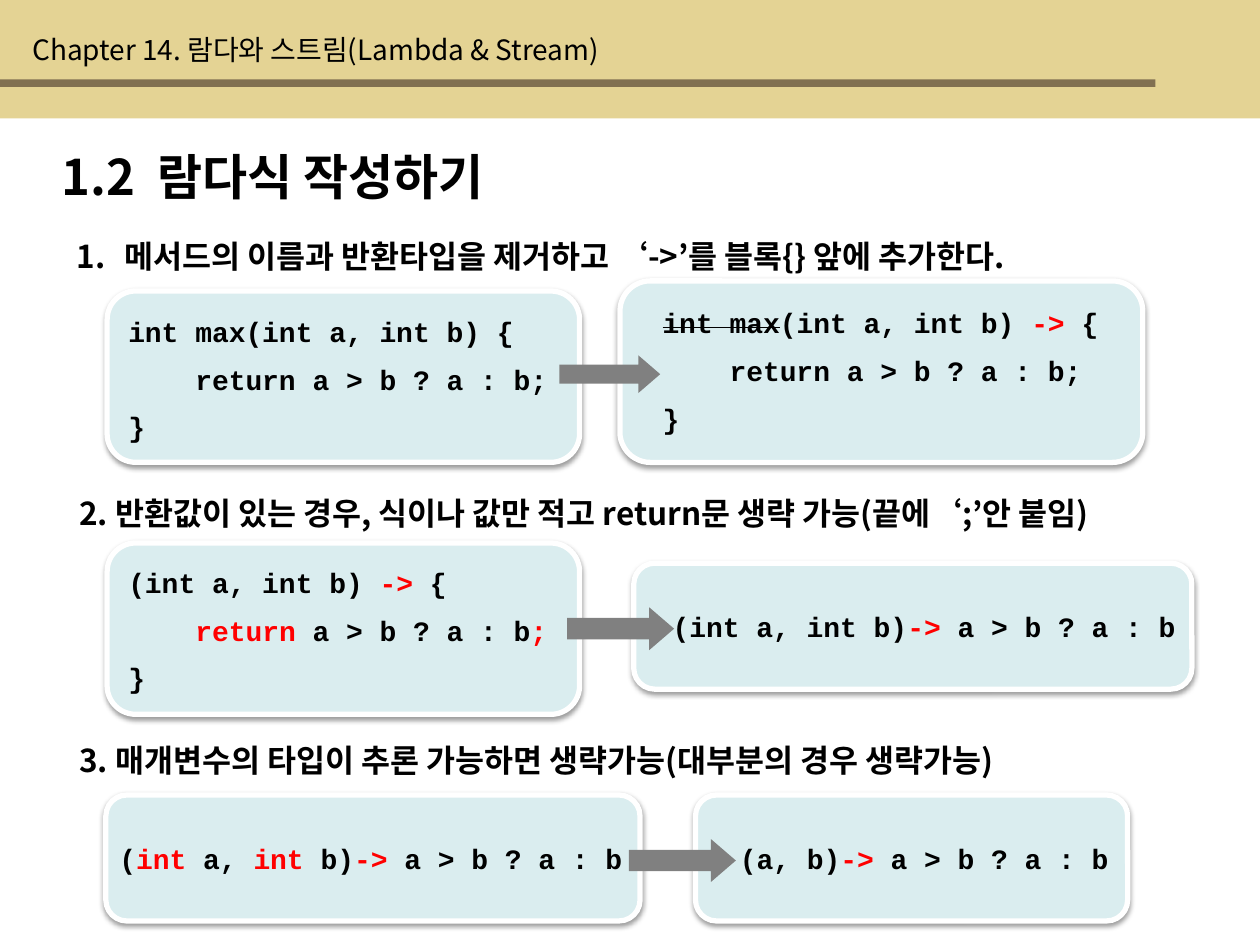
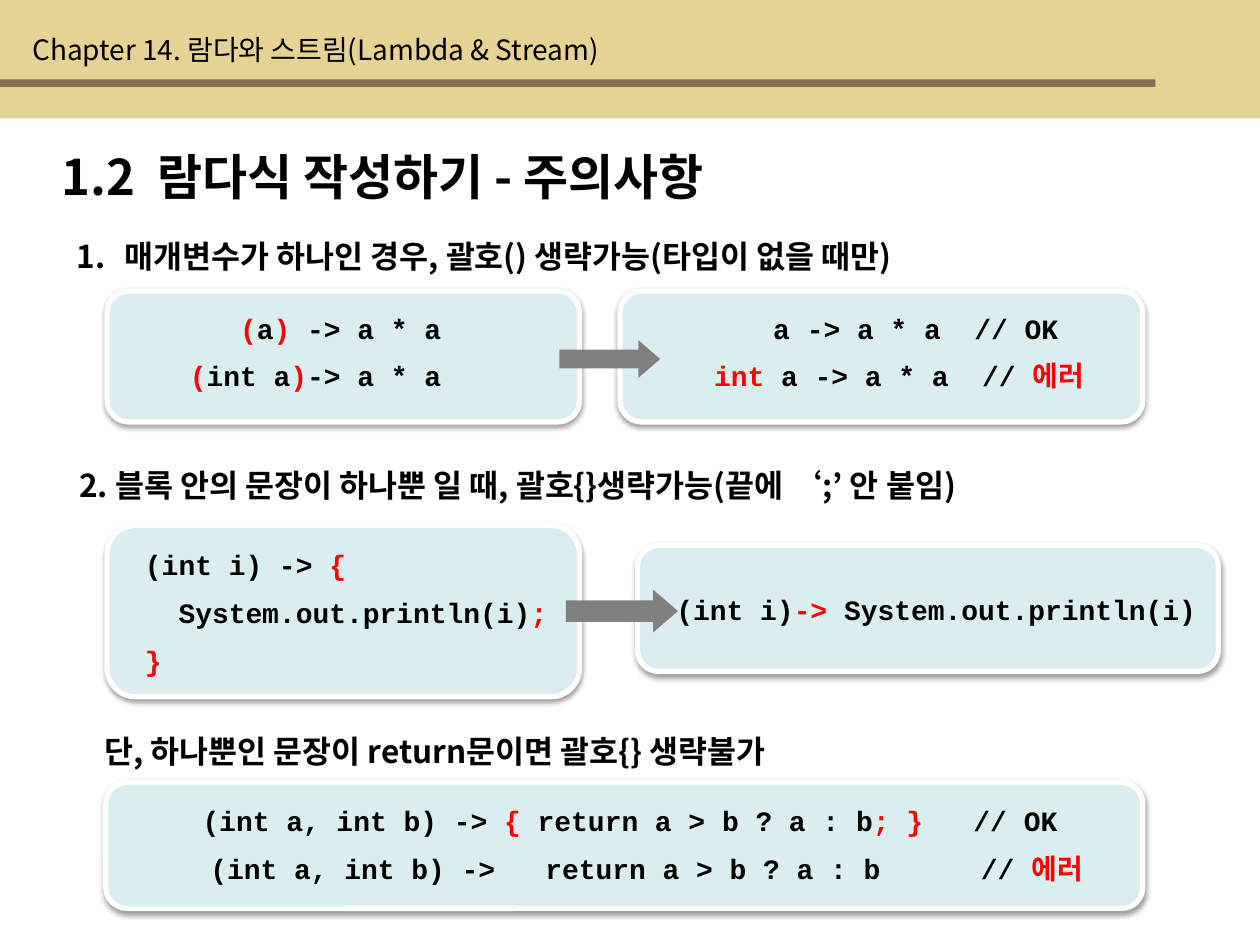
from pptx import Presentation
from pptx.dml.color import RGBColor
from pptx.enum.shapes import MSO_SHAPE
from pptx.enum.text import MSO_AUTO_SIZE, PP_ALIGN
from pptx.oxml.ns import qn
from pptx.util import Inches, Pt
from lxml import etree

RECT = MSO_SHAPE.RECTANGLE
ROUND = MSO_SHAPE.ROUNDED_RECTANGLE
ARROW = MSO_SHAPE.RIGHT_ARROW
GROW = MSO_AUTO_SIZE.SHAPE_TO_FIT_TEXT
LEFT, CENTER = PP_ALIGN.LEFT, PP_ALIGN.CENTER

SAND = RGBColor(0xE4, 0xD3, 0x94)
BROWN = RGBColor(0x81, 0x70, 0x51)
MINT = RGBColor(0xDA, 0xED, 0xEF)
GRAY = RGBColor(0x80, 0x80, 0x80)
WHITE = RGBColor(0xFF, 0xFF, 0xFF)
BLACK = RGBColor(0, 0, 0)
RED = RGBColor(0xFF, 0, 0)
SANS = "Noto Sans CJK KR"
MONO = "Courier New"


def sub(node, tag, **attrs):
    return etree.SubElement(node, qn(tag), attrs)


def draw(shapes, kind, box, fill):
    shape = shapes.add_shape(kind, *map(Inches, box))
    shape.fill.solid()
    shape.fill.fore_color.rgb = fill
    shape.line.fill.background()
    shape.shadow.inherit = False
    return shape


def write(shapes, box, lines, size, bold=True, face=SANS, align=LEFT):
    frame = shapes.add_textbox(*map(Inches, box)).text_frame
    frame.word_wrap = True
    frame.auto_size = GROW
    for i, line in enumerate(lines):
        para = frame.add_paragraph() if i else frame.paragraphs[0]
        para.alignment = align
        props = para._p.get_or_add_pPr()
        space = sub(props, "a:spcBef")
        sub(space, "a:spcPct", val="50000")
        font = para.font
        font.name, font.size, font.bold = face, Pt(size), bold
        font.color.rgb = BLACK
        for k, part in enumerate(line.split("|")):
            if not part:
                continue
            run = para.add_run()
            run.text = part.lstrip("~")
            mark = run._r.get_or_add_rPr()
            if part.startswith("~"):
                mark.set("strike", "sngStrike")
            elif k % 2:
                run.font.color.rgb = RED
            sub(mark, "a:ea", typeface=SANS)
    return frame


def header(slide, title):
    draw(slide.shapes, RECT, (0, 0, 10, 0.94), SAND)
    draw(slide.shapes, RECT, (0, 0.63, 9.17, 0.06), BROWN)
    write(slide.shapes, (0.39, 1.11, 9.37, 0.57), [title], 28)
    write(slide.shapes, (0.16, 0.21, 6.22, 0.37),
          ["Chapter 14. 람다와 스트림(Lambda & Stream)"], 16, False)


def heading(slide, left, top, text, width=9.41, number=False):
    frame = write(slide.shapes, (left, top, width, 0.4), [text], 18)
    props = frame.paragraphs[0]._p.pPr
    hang = Inches(0.38 if number else 0.29)
    props.set("marL", str(hang))
    props.set("indent", str(-hang))
    if number:
        bullet = etree.Element(qn("a:buAutoNum"), type="arabicPeriod")
        props.find(qn("a:spcBef")).addnext(bullet)


def panel(slide, box, inset, lines, align=LEFT, arrow=None):
    left, top, width, height = box
    dx, dy, wide = inset
    shapes = slide.shapes.add_group_shape().shapes
    card = draw(shapes, ROUND, box, MINT)
    card.line.color.rgb = WHITE
    card.line.width = Pt(3)
    effects = card._element.spPr.find(qn("a:effectLst"))
    shade = sub(effects, "a:outerShdw", blurRad=str(Pt(3.1)),
                dist=str(Pt(1.6)), dir="5400000", rotWithShape="0")
    color = sub(shade, "a:srgbClr", val=str(BLACK))
    sub(color, "a:alpha", val="38000")
    write(shapes, (left + dx, top + dy, wide, 0.38 * len(lines)),
          lines, 16, face=MONO, align=align)
    if arrow:
        long, high = arrow
        tip = left + 0.32
        mid = top + height / 2 + 0.02
        point = draw(shapes, ARROW, (tip - long, mid - high / 2, long, high),
                     GRAY)
        point.adjustments[0] = 0.5
        point.adjustments[1] = 0.58


def rules(slide):
    header(slide, "1.2  람다식 작성하기")
    heading(slide, 0.51, 1.83,
            "메서드의 이름과 반환타입을 제거하고 ‘->’를 블록{} 앞에 추가한다.",
            number=True)
    panel(slide, (0.85, 2.31, 3.75, 1.36), (0.07, 0.14, 3.57),
          ["int max(int a, int b) {", "    return a > b ? a : b;", "}"])
    panel(slide, (4.92, 2.23, 4.15, 1.44), (0.24, 0.15, 3.95),
          ["|~int max|(int a, int b) |-> |{", "    return a > b ? a : b;",
           "}"], arrow=(0.8, 0.3))
    heading(slide, 0.53, 3.87,
            "2. 반환값이 있는 경우, 식이나 값만 적고 return문 생략 가능"
            "(끝에‘;’안 붙임)", 9.9)
    panel(slide, (0.85, 4.31, 3.75, 1.36), (0.07, 0.13, 3.57),
          ["(int a, int b) |->| {", "    |return| a > b ? a : b|;", "}"])
    panel(slide, (5.03, 4.47, 4.43, 1), (0.21, 0.32, 4.22),
          ["(int a, int b)|->| a > b ? a : b"], arrow=(0.85, 0.34))
    heading(slide, 0.53, 5.83,
            "3. 매개변수의 타입이 추론 가능하면 생략가능"
            "(대부분의 경우 생략가능)")
    panel(slide, (0.84, 6.31, 4.24, 1), (0.01, 0.32, 4.27),
          ["(|int| a, |int| b)|->| a > b ? a : b"])
    panel(slide, (5.52, 6.31, 3.43, 1), (0.12, 0.32, 3.35),
          [" (a, b)|->| a > b ? a : b"], arrow=(0.85, 0.34))


def limits(slide):
    header(slide, "1.2  람다식 작성하기 - 주의사항")
    heading(slide, 0.51, 1.83,
            "매개변수가 하나인 경우, 괄호() 생략가능(타입이 없을 때만)",
            number=True)
    panel(slide, (0.85, 2.31, 3.75, 1.04), (0.07, 0.11, 3.17),
          ["   |(|a|)| -> a * a", "|(|int a|)|-> a * a"], CENTER)
    panel(slide, (4.92, 2.31, 4.15, 1.04), (0.24, 0.11, 3.95),
          ["  a -> a * a  // OK", "|int| a -> a * a  // |에러"], CENTER,
          (0.8, 0.3))
    heading(slide, 0.53, 3.65,
            "2. 블록 안의 문장이 하나뿐 일 때, 괄호{}생략가능"
            "(끝에 ‘;’ 안 붙임)")
    heading(slide, 0.73, 5.76,
            "단, 하나뿐인 문장이 return문이면 괄호{} 생략불가", 7.75)
    panel(slide, (0.84, 6.21, 8.23, 1), (0.01, 0.12, 8.3),
          ["(int a, int b) -> |{| return a > b ? a : b|; }|   // OK",
           "  (int a, int b) ->   return a > b ? a : b      // |에러"],
          CENTER)
    panel(slide, (0.85, 4.17, 3.75, 1.36), (0.07, 0.13, 3.57),
          [" (int i) -> |{", "   System.out.println(i)|;", "| }"])
    panel(slide, (5.06, 4.33, 4.61, 1), (0.21, 0.32, 4.48),
          ["(int i)|-> |System.out.println(i)"], arrow=(0.89, 0.34))


deck = Presentation()
deck.slide_width, deck.slide_height = Inches(10), Inches(7.5)
for build in (rules, limits):
    build(deck.slides.add_slide(deck.slide_layouts[6]))
deck.save("out.pptx")
